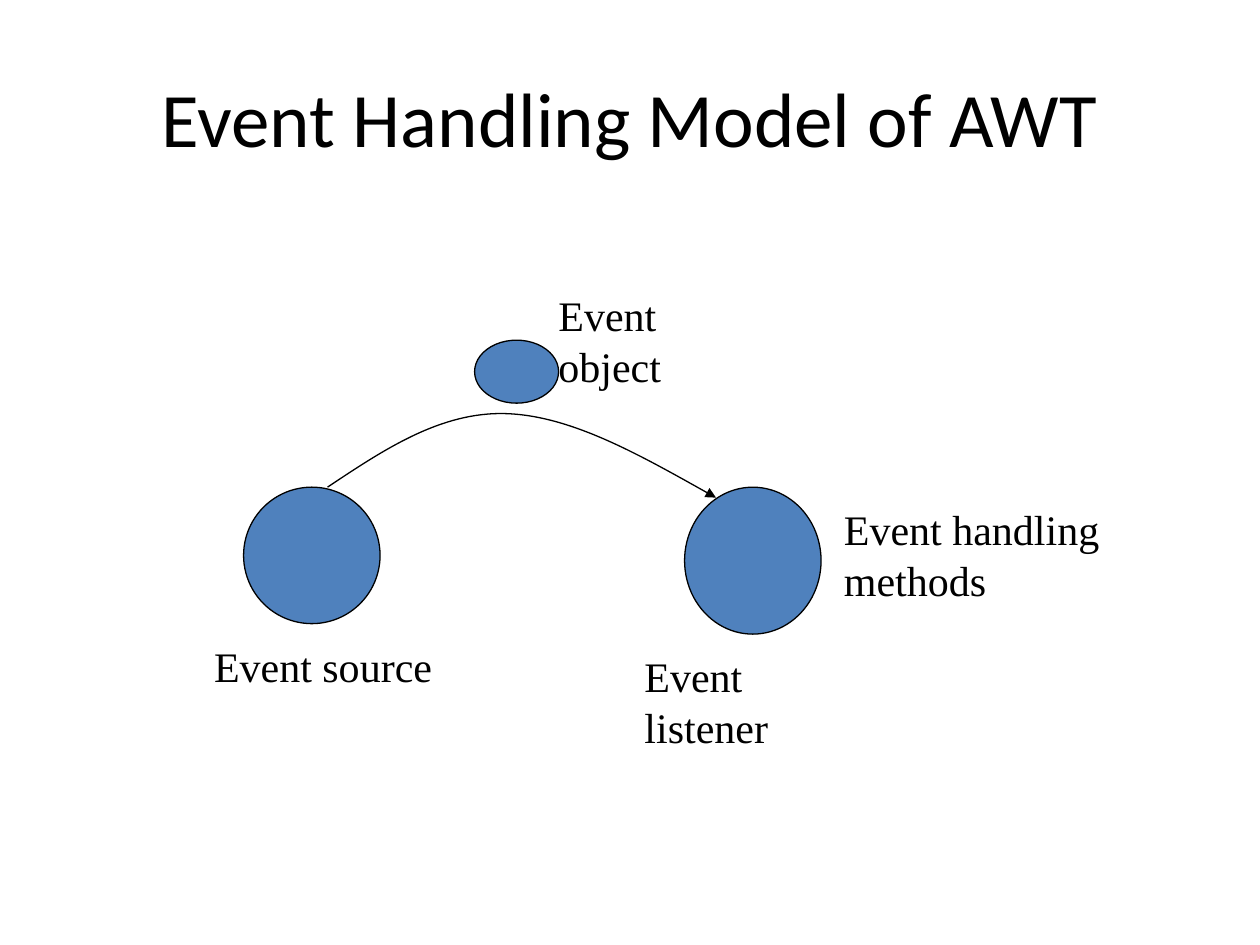
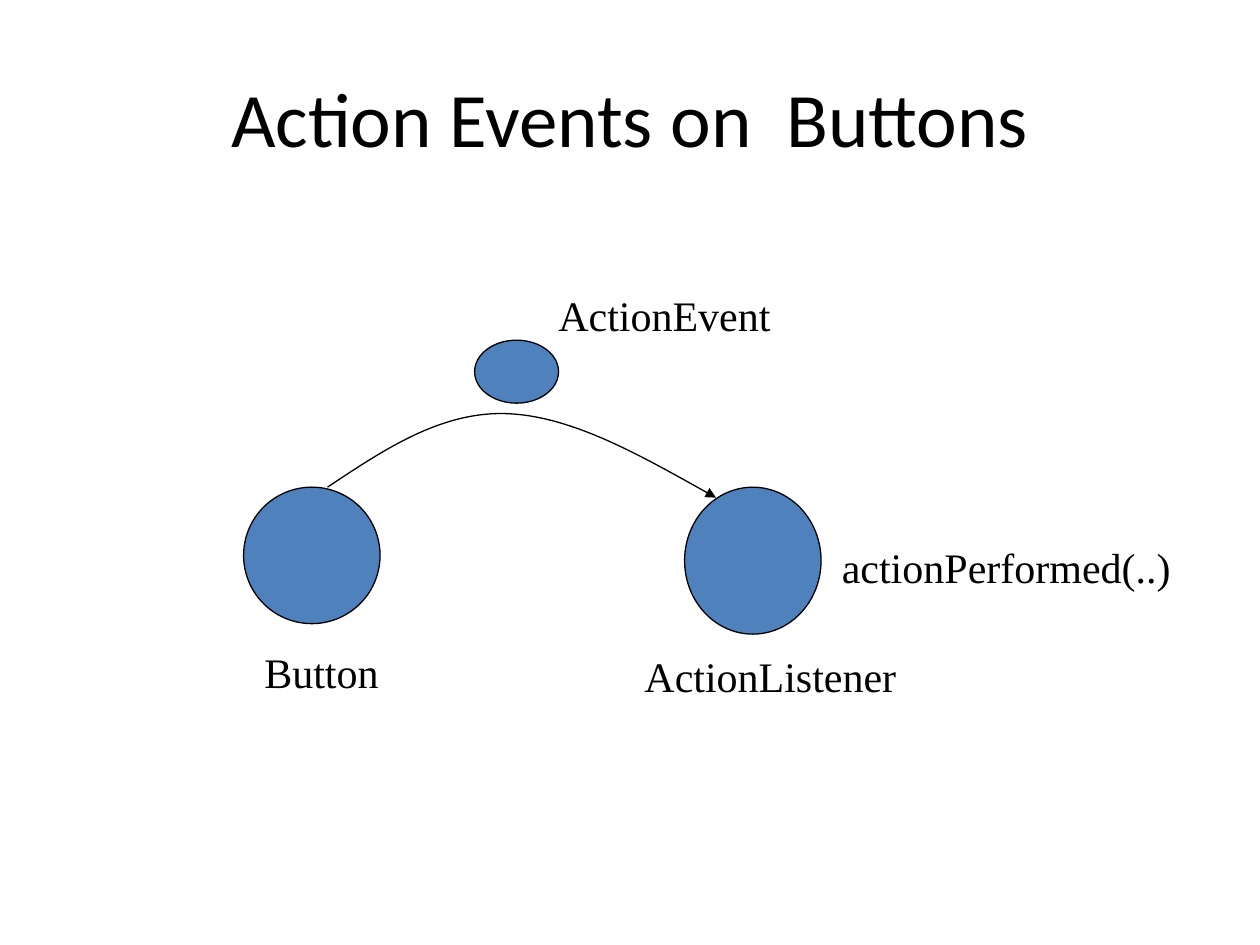
from dataclasses import dataclass
from typing import NamedTuple

from lxml import etree
from pptx import Presentation
from pptx import util as u
from pptx.dml.color import RGBColor
from pptx.enum import shapes, text
from pptx.oxml.ns import qn

COLUMNS, ROWS = 600, 450
SLIDE_WIDTH, SLIDE_HEIGHT = u.Inches(10), u.Inches(7.5)
CELL_WIDTH, CELL_HEIGHT = SLIDE_WIDTH / COLUMNS, SLIDE_HEIGHT / ROWS

COLORS = {"ink": "000000", "node": "4F81BD"}
LINE_WIDTH = u.Pt(0.75)


class Box(NamedTuple):
    column: int
    row: int
    columns: int
    rows: int


class TextStyle(NamedTuple):
    font: str
    size: int
    alignment: text.PP_ALIGN
    anchor: text.MSO_ANCHOR
    wrap: bool


@dataclass
class Label:
    box: Box
    lines: tuple[str, ...]


@dataclass
class EventDiagram:
    title: str
    labels: tuple[Label, ...]


TITLE_STYLE = TextStyle("Calibri", 44, text.PP_ALIGN.CENTER, text.MSO_ANCHOR.MIDDLE, True)
LABEL_STYLE = TextStyle("Times New Roman", 24, text.PP_ALIGN.LEFT, text.MSO_ANCHOR.TOP, False)

TITLE_BOX = Box(30, 18, 540, 75)
SOURCE_NODE = Box(116, 232, 65, 65)
LISTENER_NODE = Box(326, 232, 65, 70)
EVENT_NODE = Box(226, 162, 40, 30)
EVENT_CURVE = (
    (156, 232),
    (183, 214), (210, 196), (241, 197),
    (272, 198), (307, 218), (341, 237),
)

DIAGRAMS = (
    EventDiagram("Event Handling Model of AWT", (
        Label(Box(96, 302, 116, 30), ("Event source",)),
        Label(Box(301, 307, 122, 30), ("Event listener",)),
        Label(Box(260, 135, 112, 30), ("Event object",)),
        Label(Box(396, 237, 139, 54), ("Event handling", "methods")),
    )),
    EventDiagram("Action Events on  Buttons", (
        Label(Box(120, 305, 67, 30), ("Button",)),
        Label(Box(301, 307, 132, 30), ("ActionListener",)),
        Label(Box(260, 135, 113, 30), ("ActionEvent",)),
        Label(Box(395, 255, 169, 30), ("actionPerformed(..)",)),
    )),
)


def color(name: str) -> RGBColor:
    return RGBColor.from_string(COLORS[name])


def place(box: Box) -> tuple[int, int, int, int]:
    return (
        round(box.column * CELL_WIDTH),
        round(box.row * CELL_HEIGHT),
        round(box.columns * CELL_WIDTH),
        round(box.rows * CELL_HEIGHT),
    )


def add_text(slide, box: Box, lines: tuple[str, ...], style: TextStyle) -> None:
    frame = slide.shapes.add_textbox(*place(box)).text_frame
    frame.word_wrap = style.wrap
    frame.vertical_anchor = style.anchor
    if not style.wrap:
        frame.auto_size = text.MSO_AUTO_SIZE.SHAPE_TO_FIT_TEXT
    for index, line in enumerate(lines):
        paragraph = frame.add_paragraph() if index else frame.paragraphs[0]
        paragraph.alignment = style.alignment
        run = paragraph.add_run()
        run.text = line
        run.font.name = style.font
        run.font.size = u.Pt(style.size)
        run.font.color.rgb = color("ink")


def outline(shape) -> None:
    shape.shadow.inherit = False
    shape.line.color.rgb = color("ink")
    shape.line.width = LINE_WIDTH


def add_node(slide, box: Box) -> None:
    shape = slide.shapes.add_shape(shapes.MSO_SHAPE.OVAL, *place(box))
    shape.fill.solid()
    shape.fill.fore_color.rgb = color("node")
    outline(shape)


def add_curved_arrow(slide, points: tuple[tuple[int, int], ...]) -> None:
    builder = slide.shapes.build_freeform(*points[0], scale=(CELL_WIDTH, CELL_HEIGHT))
    builder.add_line_segments(points[1:], close=False)
    shape = builder.convert_to_shape()
    shape.fill.background()
    outline(shape)
    route = next(shape.element.iter(qn("a:path")))
    segments = route.findall(qn("a:lnTo"))
    for start in range(0, len(segments), 3):
        curve = etree.SubElement(route, qn("a:cubicBezTo"))
        for segment in segments[start:start + 3]:
            curve.append(segment[0])
            route.remove(segment)
    line = shape.element.spPr.find(qn("a:ln"))
    etree.SubElement(line, qn("a:tailEnd"), type="triangle")


def add_diagram(presentation, diagram: EventDiagram) -> None:
    slide = presentation.slides.add_slide(presentation.slide_layouts[6])
    add_text(slide, TITLE_BOX, (diagram.title,), TITLE_STYLE)
    for node in (SOURCE_NODE, LISTENER_NODE, EVENT_NODE):
        add_node(slide, node)
    add_curved_arrow(slide, EVENT_CURVE)
    for label in diagram.labels:
        add_text(slide, label.box, label.lines, LABEL_STYLE)


def main() -> None:
    presentation = Presentation()
    presentation.slide_width = SLIDE_WIDTH
    presentation.slide_height = SLIDE_HEIGHT
    for diagram in DIAGRAMS:
        add_diagram(presentation, diagram)
    presentation.save("out.pptx")


if __name__ == "__main__":
    main()
